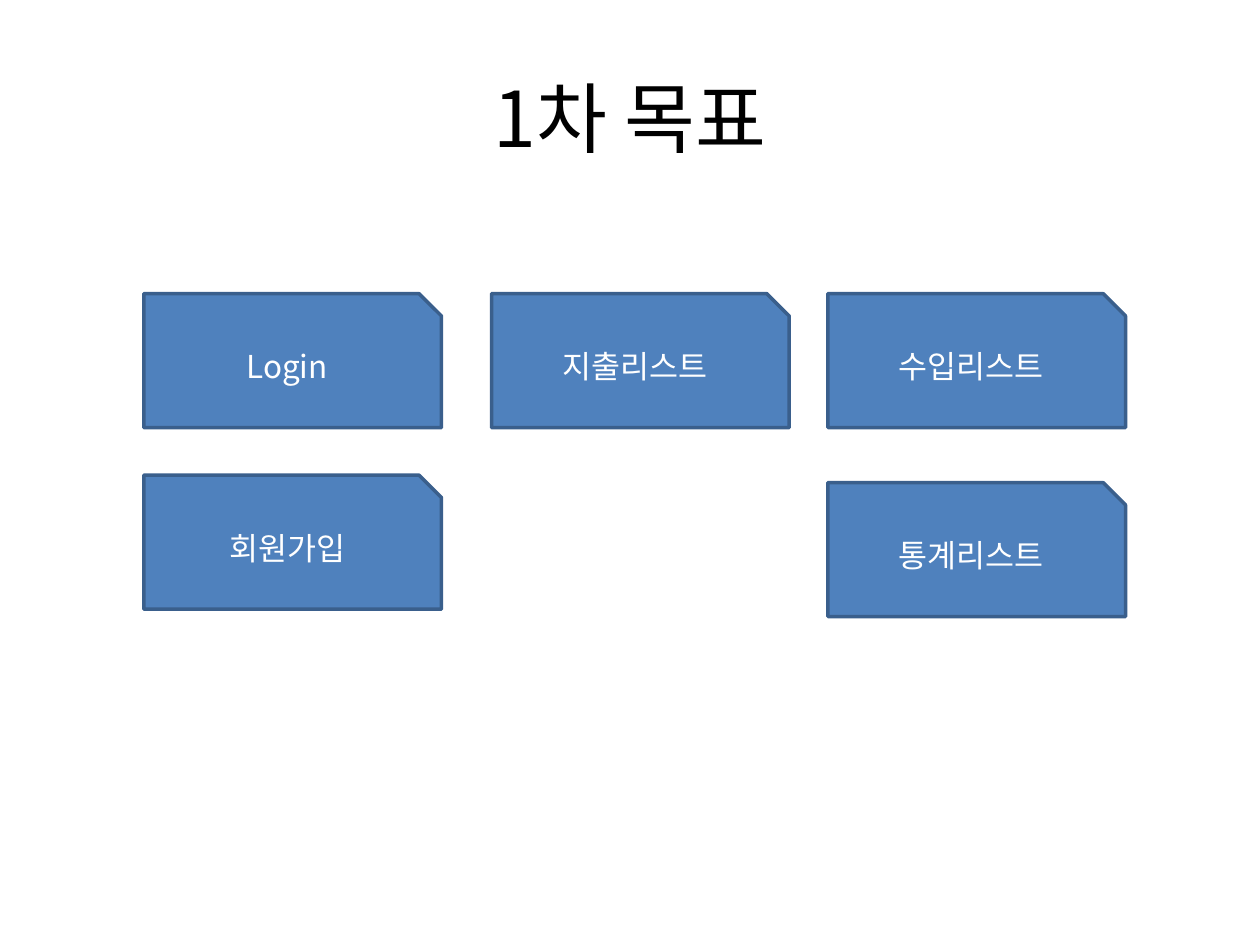
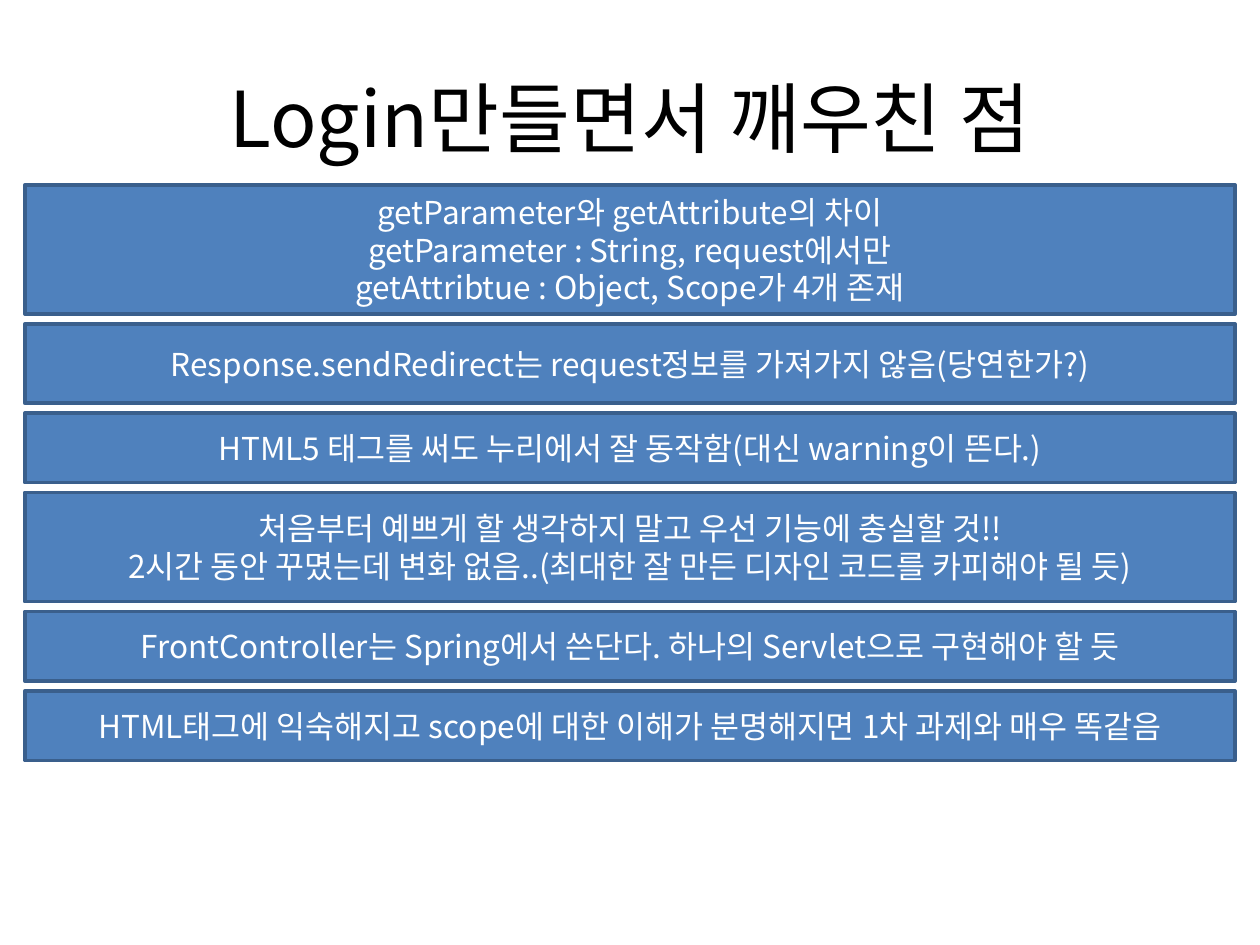
from pptx import Presentation
from pptx import util as u
from pptx.dml.color import RGBColor
from pptx.enum import shapes, text
from pptx.oxml import ns
from lxml import etree

FONT = "Noto Sans CJK KR"
BLUE = RGBColor(0x4F, 0x81, 0xBD)
DARK_BLUE = RGBColor(0x3A, 0x5F, 0x8C)
WHITE = RGBColor(0xFF, 0xFF, 0xFF)
BLACK = RGBColor(0x00, 0x00, 0x00)


class Deck:
    """Holds the shared style and the current slide."""

    def __init__(self):
        self.prs = Presentation()
        self.prs.slide_width = u.Cm(25.4)
        self.prs.slide_height = u.Cm(19.05)
        self.s = None

    def add_slide(self, title):
        layout = self.prs.slide_layouts.get_by_name("Title Only")
        self.s = self.prs.slides.add_slide(layout)
        sp = self.s.shapes.title
        sp.left, sp.top = u.Cm(1.27), u.Cm(0.76)
        sp.width, sp.height = u.Cm(22.86), u.Cm(3.18)
        self.set_text(sp.text_frame, [title], 44, BLACK)

    def set_text(self, tf, lines, size, color):
        tf.word_wrap = True
        tf.vertical_anchor = text.MSO_ANCHOR.MIDDLE
        tf.text = "\n".join(lines)
        for p in tf.paragraphs:
            p.alignment = text.PP_ALIGN.CENTER
            p.font.size = u.Pt(size)
            p.font.name = FONT
            p.font.color.rgb = color
            # Hangul takes its typeface from the East Asian font
            props = p._p.find(".//" + ns.qn("a:defRPr"))
            etree.SubElement(props, ns.qn("a:ea"), typeface=FONT)

    def box(self, kind, left, top, width, height, lines):
        sp = self.s.shapes.add_shape(
            kind, u.Cm(left), u.Cm(top), u.Cm(width), u.Cm(height))
        sp.shadow.inherit = False
        sp.fill.solid()
        sp.fill.fore_color.rgb = BLUE
        sp.line.color.rgb = DARK_BLUE
        sp.line.width = u.Pt(2)
        self.set_text(sp.text_frame, lines, 18, WHITE)

    def card(self, left, top, label):
        self.box(shapes.MSO_SHAPE.SNIP_1_RECTANGLE, left, top, 6, 2.7, [label])

    def bars(self, top, gap, items):
        for height, lines in items:
            self.box(shapes.MSO_SHAPE.RECTANGLE, 0.5, top, 24.4, height, lines)
            top += height + gap


def main():
    deck = Deck()

    # Goals: one card per screen
    deck.add_slide("1차 목표")
    account, spending, income = 2.9, 9.91, 16.69
    first_row = 5.92
    deck.card(account, first_row, "Login")
    deck.card(spending, first_row, "지출리스트")
    deck.card(income, first_row, "수입리스트")
    deck.card(income, 9.73, "통계리스트")
    deck.card(account, 9.58, "회원가입")

    # Lessons: stacked bars of (height, lines)
    deck.add_slide("Login만들면서 깨우친 점")
    deck.bars(3.73, 0.2, [
        (2.6, ["getParameter와 getAttribute의 차이",
               "getParameter : String, request에서만",
               "getAttribtue : Object, Scope가 4개 존재"]),
        (1.6, ["Response.sendRedirect는 request정보를 가져가지 않음(당연한가?)"]),
        (1.4, ["HTML5 태그를 써도 누리에서 잘 동작함(대신 warning이 뜬다.)"]),
        (2.2, ["처음부터 예쁘게 할 생각하지 말고 우선 기능에 충실할 것!!",
               "2시간 동안 꾸몄는데 변화 없음..(최대한 잘 만든 디자인 코드를 카피해야 될 듯)"]),
        (1.4, ["FrontController는 Spring에서 쓴단다. 하나의 Servlet으로 구현해야 할 듯"]),
        (1.4, ["HTML태그에 익숙해지고 scope에 대한 이해가 분명해지면 1차 과제와 매우 똑같음"]),
    ])

    deck.prs.save("out.pptx")


if __name__ == "__main__":
    main()
